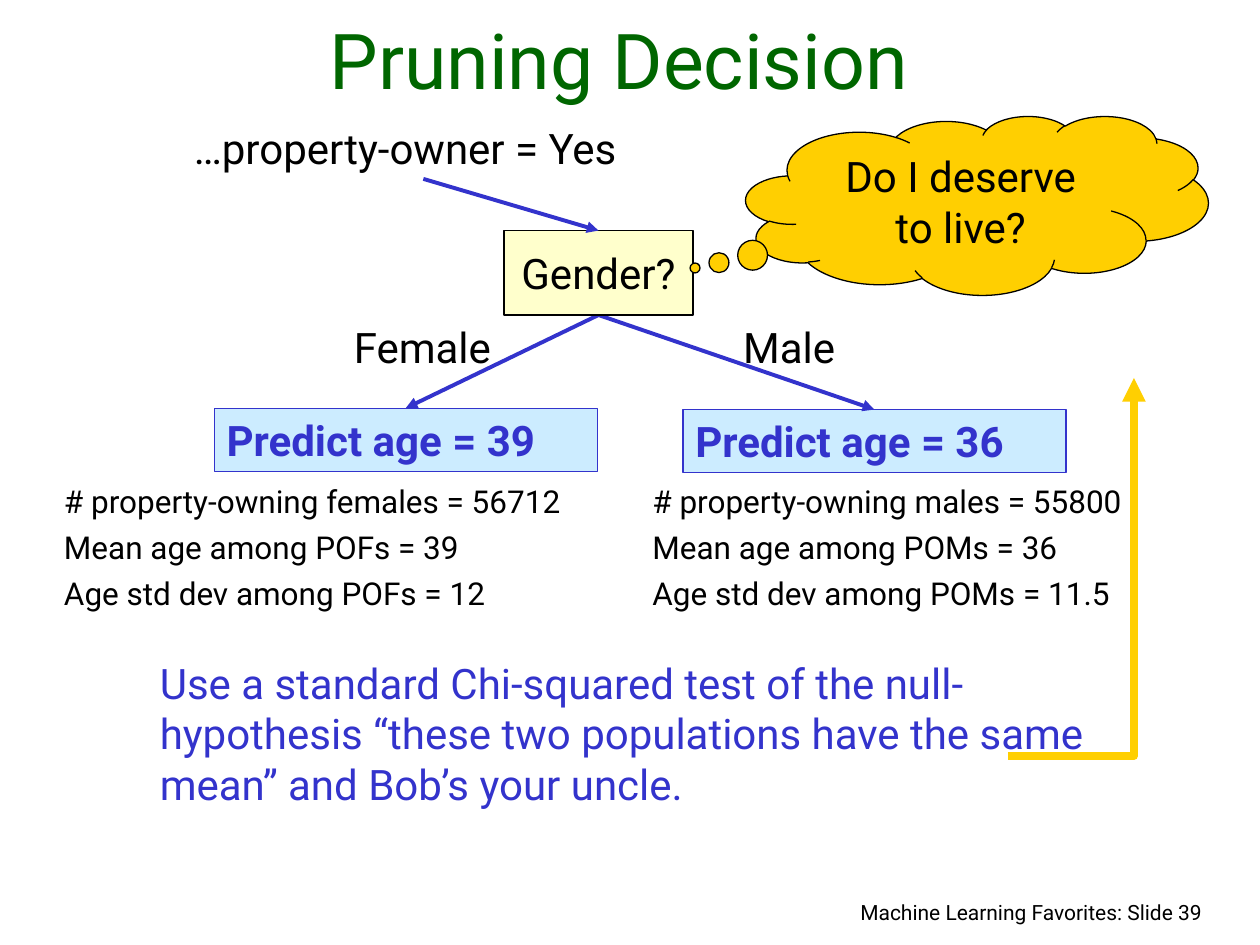
from lxml import etree
from pptx import Presentation
from pptx.dml.color import RGBColor
from pptx.enum.shapes import MSO_CONNECTOR, MSO_SHAPE
from pptx.enum.text import MSO_ANCHOR, PP_ALIGN
from pptx.oxml.ns import qn
from pptx.util import Inches, Pt

FONT = "Roboto"
BLACK, BLUE, GREEN, GOLD = "000000", "3333CC", "006600", "FFCF01"
PALE_BLUE, PALE_YELLOW = "CCECFF", "FFFFCC"
LEFT, CENTER, RIGHT = PP_ALIGN.LEFT, PP_ALIGN.CENTER, PP_ALIGN.RIGHT

FOOTER = ("Machine Learning Favorites: Slide 39", (5.72, 7.09, 3.92, 0.33))
TITLE = ("Pruning Decision", (0.25, 0.17, 9.33, 0.71))
LABELS = [
    ("…property-owner = Yes", (1.44, 0.92, 3.83, 0.5)),
    ("Female", (2.71, 2.5, 1.33, 0.5)),
    ("Male", (5.8, 2.5, 0.96, 0.5)),
]
QUESTION = ("Gender?", (4, 1.83, 1.5, 0.67))
THOUGHT = ("Do I deserve to live?", (5.92, 0.92, 3.67, 1.42))
CONCLUSION = (
    "Use a standard Chi-squared test of the null-hypothesis “these two "
    "populations have the same mean” and Bob’s your uncle.",
    (1.17, 5.17, 7.67, 1.3),
)
LEAVES = [
    {
        "prediction": "Predict age = 36",
        "box": (5.42, 3.25),
        "notes_left": 5.08,
        "notes": [
            "# property-owning males = 55800",
            "Mean age among POMs = 36",
            "Age std dev among POMs = 11.5",
        ],
    },
    {
        "prediction": "Predict age = 39",
        "box": (1.7, 3.24),
        "notes_left": 0.41,
        "notes": [
            "# property-owning females = 56712",
            "Mean age among POFs = 39",
            "Age std dev among POFs = 12",
        ],
    },
]
SWOOSH_START = (8.31, 5.72)
SWOOSH_CURVES = [
    ((8.34, 5.63), (8.43, 5.64), (8.51, 5.63)),
    ((8.74, 5.55), (8.9, 5.37), (9.05, 5.19)),
    ((9.1, 5.12), (9.18, 5.06), (9.21, 4.99)),
    ((9.27, 4.88), (9.22, 4.96), (9.25, 4.87)),
    ((9.34, 4.64), (9.39, 4.39), (9.43, 4.15)),
    ((9.43, 4.08), (9.44, 4.02), (9.44, 3.96)),
    ((9.44, 3.82), (9.41, 3.55), (9.41, 3.55)),
    ((9.41, 3.08), (9.63, 2.78), (9.32, 2.59)),
    ((9.32, 2.57), (9.31, 2.55), (9.31, 2.55)),
]
CURVE_STEPS = 12

presentation = Presentation()
presentation.slide_width = Inches(10)
presentation.slide_height = Inches(7.5)
slide = presentation.slides.add_slide(presentation.slide_layouts[6])


def color(value):
    return RGBColor.from_string(value)


def write(shape, lines, size=24, ink=BLACK, align=LEFT, anchor=MSO_ANCHOR.TOP,
          bold=False, wrap=True, line_spacing=None, space_before=0):
    frame = shape.text_frame
    frame.word_wrap = wrap
    frame.vertical_anchor = anchor
    for index, line in enumerate(lines):
        paragraph = frame.paragraphs[0] if index == 0 else frame.add_paragraph()
        paragraph.alignment = align
        paragraph.line_spacing = line_spacing
        paragraph.space_before = Pt(space_before if index else 0)
        run = paragraph.add_run()
        run.text = line
        run.font.name = FONT
        run.font.size = Pt(size)
        run.font.bold = bold
        run.font.color.rgb = color(ink)


def add_text(lines, box, **style):
    write(slide.shapes.add_textbox(*map(Inches, box)), lines, **style)


def add_box(kind, text, box, fill, outline, **style):
    shape = slide.shapes.add_shape(kind, *map(Inches, box))
    shape.shadow.inherit = False
    shape.fill.solid()
    shape.fill.fore_color.rgb = color(fill)
    shape.line.color.rgb = color(outline)
    shape.line.width = Pt(0.75)
    write(shape, [text], **style)
    return shape


def style_arrow(line, ink, width):
    line.color.rgb = color(ink)
    line.width = Pt(width)
    tail = etree.SubElement(line._get_or_add_ln(), qn("a:tailEnd"))
    tail.set("type", "triangle")


def add_arrow(start, end):
    arrow = slide.shapes.add_connector(
        MSO_CONNECTOR.STRAIGHT, *map(Inches, (*start, *end)))
    style_arrow(arrow.line, BLUE, 2.25)
    etree.SubElement(arrow._element.spPr, qn("a:effectLst"))


def curve_points(start, curves):
    for first, second, end in curves:
        for step in range(1, CURVE_STEPS + 1):
            t = step / CURVE_STEPS
            u = 1 - t
            yield tuple(
                u**3 * a + 3 * u * u * t * b + 3 * u * t * t * c + t**3 * d
                for a, b, c, d in zip(start, first, second, end))
        start = end


add_text([FOOTER[0]], FOOTER[1], size=12, align=RIGHT)
add_text([TITLE[0]], TITLE[1], size=44, ink=GREEN, align=CENTER,
         anchor=MSO_ANCHOR.BOTTOM)

left, top, width, height = QUESTION[1]
question_top = (left + width / 2, top)
question_bottom = (left + width / 2, top + height)
for leaf in LEAVES:
    left, top = leaf["box"]
    add_box(MSO_SHAPE.RECTANGLE, leaf["prediction"], (left, top, 3.04, 0.5),
            PALE_BLUE, BLUE, ink=BLUE, bold=True)
    add_arrow(question_bottom, (left + 1.52, top))
    add_text(leaf["notes"], (leaf["notes_left"], 3.86, 4.5, 1.04), size=18,
             line_spacing=0.7, space_before=11.2)

add_box(MSO_SHAPE.RECTANGLE, *QUESTION, PALE_YELLOW, BLACK, align=CENTER,
        anchor=MSO_ANCHOR.MIDDLE, wrap=False)
add_arrow((3.36, 1.42), question_top)
for text, box in LABELS:
    add_text([text], box, wrap=False)
add_text([CONCLUSION[0]], CONCLUSION[1], ink=BLUE)

cloud = add_box(MSO_SHAPE.CLOUD_CALLOUT, *THOUGHT, GOLD, BLACK, align=CENTER,
                anchor=MSO_ANCHOR.MIDDLE)
cloud.adjustments[0] = -0.61
cloud.adjustments[1] = 0.35

builder = slide.shapes.build_freeform(*SWOOSH_START, scale=Inches(1))
builder.add_line_segments(curve_points(SWOOSH_START, SWOOSH_CURVES), close=False)
swoosh = builder.convert_to_shape()
swoosh.shadow.inherit = False
swoosh.fill.background()
style_arrow(swoosh.line, GOLD, 4.5)

presentation.save("out.pptx")
